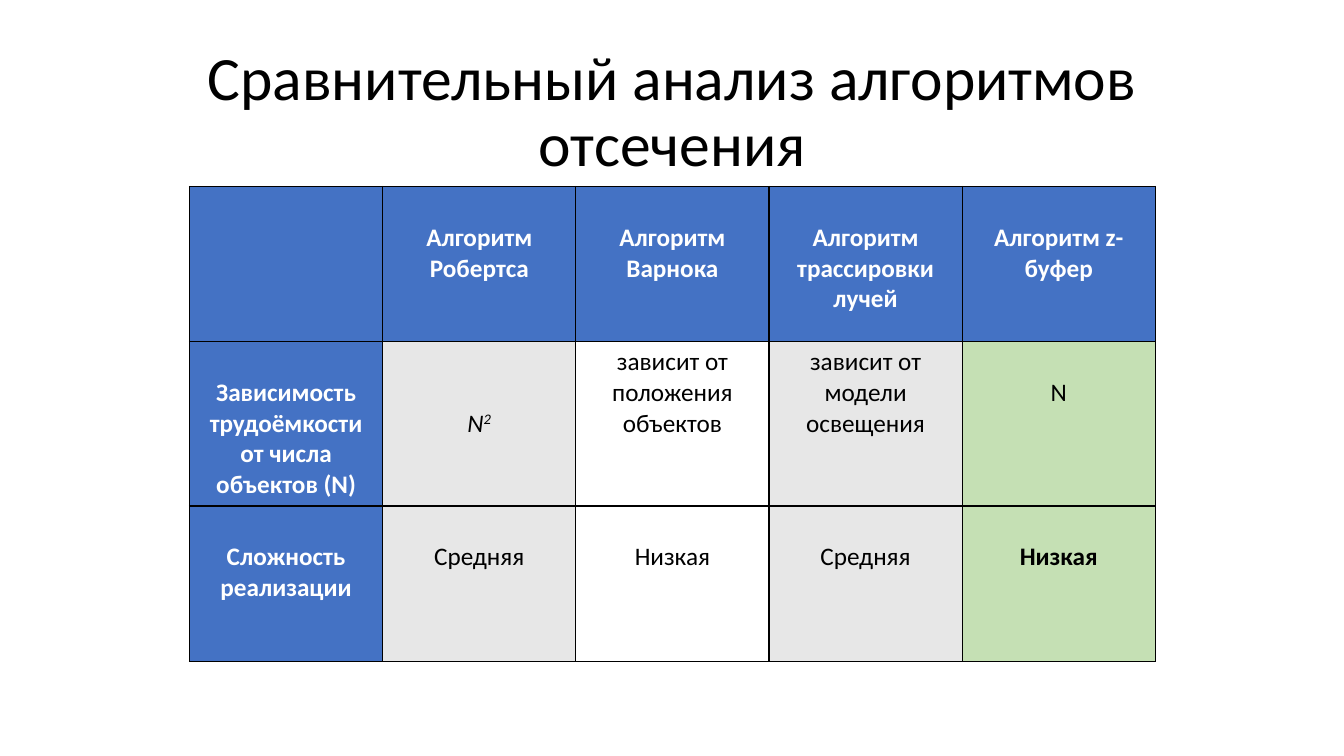
from dataclasses import dataclass

from lxml import etree
from pptx import Presentation
from pptx import util as u
from pptx.dml import color
from pptx.enum import text
from pptx.oxml import ns


@dataclass(frozen=True)
class Theme:
    font: str = "Calibri"
    title_size: float = 44
    cell_size: float = 18
    border_width: float = 1
    black: str = "000000"
    white: str = "FFFFFF"
    blue: str = "4472C4"
    grey: str = "E7E7E7"
    green: str = "C5E0B4"


@dataclass(frozen=True)
class Entry:
    """One table cell; lines_down is the number of text lines it starts below the top."""
    wording: str = ""
    lines_down: int = 1
    bold: bool = False
    italic: bool = False
    power: str = ""


THEME = Theme()
TABLE_LEFT, TABLE_TOP, TABLE_WIDTH = 1.88, 1.85, 9.58
ROW_HEIGHTS = (1.54, 1.63, 1.54)
CELL_MARGIN = 0.05
LINE_HEIGHT = 0.305
COLUMN_FILLS = (THEME.blue, THEME.grey, THEME.white, THEME.grey, THEME.green)

ENTRIES = (
    (Entry(), Entry("Алгоритм Робертса"), Entry("Алгоритм Варнока"),
     Entry("Алгоритм трассировки лучей"), Entry("Алгоритм z-буфер")),
    (Entry("Зависимость трудоёмкости от числа объектов (N)"),
     Entry("N", lines_down=2, italic=True, power="2"),
     Entry("зависит от положения объектов", lines_down=0),
     Entry("зависит от модели освещения", lines_down=0), Entry("N")),
    (Entry("Сложность реализации"), Entry("Средняя"), Entry("Низкая"),
     Entry("Средняя"), Entry("Низкая", bold=True)),
)


def add_span(para, wording: str, *, size: float, ink: str = THEME.black,
             bold: bool = False, italic: bool = False, raised: bool = False) -> None:
    para.alignment = text.PP_ALIGN.CENTER
    span = para.add_run()
    span.text = wording
    font = span.font
    font.name, font.size = THEME.font, u.Pt(size)
    font.bold, font.italic = bold, italic
    font.color.rgb = color.RGBColor.from_string(ink)
    if raised:
        span._r.get_or_add_rPr().set("baseline", "30000")


def add_borders(cell) -> None:
    properties = cell._tc.get_or_add_tcPr()
    for side in ("L", "R", "T", "B"):
        line = etree.SubElement(properties, ns.qn(f"a:ln{side}"),
                                w=str(int(u.Pt(THEME.border_width))))
        fill = etree.SubElement(line, ns.qn("a:solidFill"))
        etree.SubElement(fill, ns.qn("a:srgbClr"), val=THEME.black)


def fill_cell(cell, entry: Entry, fill: str, is_header: bool) -> None:
    add_borders(cell)
    cell.fill.solid()
    cell.fill.fore_color.rgb = color.RGBColor.from_string(fill)
    cell.margin_top = u.Inches(CELL_MARGIN + LINE_HEIGHT * entry.lines_down)
    cell.margin_bottom = u.Inches(CELL_MARGIN)
    if not entry.wording:
        return
    para = cell.text_frame.paragraphs[0]
    add_span(para, entry.wording, size=THEME.cell_size, italic=entry.italic,
             ink=THEME.white if is_header else THEME.black,
             bold=is_header or entry.bold)
    if entry.power:
        add_span(para, entry.power, size=THEME.cell_size, italic=entry.italic, raised=True)


def add_title(page, wording: str) -> None:
    box = page.shapes.add_textbox(u.Inches(0.92), u.Inches(0.4), u.Inches(11.5), u.Inches(1.45))
    frame = box.text_frame
    frame.word_wrap = True
    frame.vertical_anchor = text.MSO_ANCHOR.MIDDLE
    para = frame.paragraphs[0]
    para.line_spacing = 0.9
    add_span(para, wording, size=THEME.title_size)


def add_comparison(page) -> None:
    table = page.shapes.add_table(
        len(ENTRIES), len(COLUMN_FILLS), u.Inches(TABLE_LEFT), u.Inches(TABLE_TOP),
        u.Inches(TABLE_WIDTH), u.Inches(sum(ROW_HEIGHTS))).table
    table.first_row = table.horz_banding = False
    for row, height in zip(table.rows, ROW_HEIGHTS):
        row.height = u.Inches(height)
    for row_index, entries in enumerate(ENTRIES):
        for column_index, entry in enumerate(entries):
            is_header = row_index == 0 or column_index == 0
            fill = THEME.blue if is_header else COLUMN_FILLS[column_index]
            fill_cell(table.cell(row_index, column_index), entry, fill, is_header)


def main() -> None:
    deck = Presentation()
    deck.slide_width, deck.slide_height = u.Inches(13.33), u.Inches(7.5)
    page = deck.slides.add_slide(deck.slide_layouts[6])
    add_title(page, "Сравнительный анализ алгоритмов отсечения")
    add_comparison(page)
    deck.save("out.pptx")


if __name__ == "__main__":
    main()
